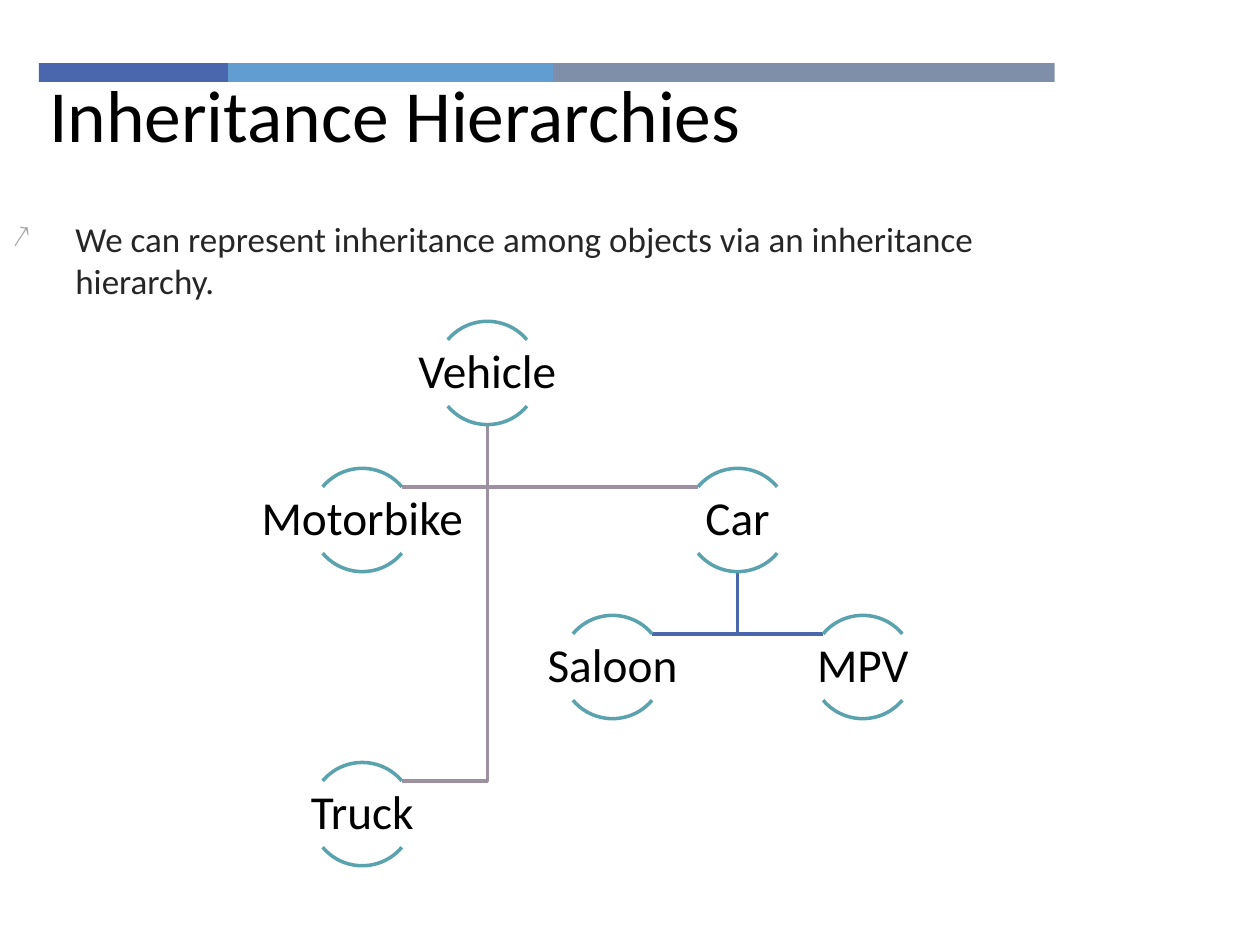
from math import cos, radians, sin

from lxml import etree
from pptx import Presentation
from pptx import util as u
from pptx.dml.color import RGBColor
from pptx.enum import shapes, text
from pptx.oxml.ns import qn

COLS, ROWS = 100, 75      # slide grid of square cells
CELL = u.Inches(0.1)


def size(n):
    return round(n * CELL)


def tint(code):
    return RGBColor.from_string(code)


def write(frame, words, pt=20, color="000000", align=None, lead=None,
          before=None, pad=None, mid=False):
    """Put one formatted paragraph in a text frame and return it."""
    frame.word_wrap = True
    if mid:
        frame.vertical_anchor = text.MSO_ANCHOR.MIDDLE
    if pad is not None:
        frame.margin_left = frame.margin_right = size(pad)
        frame.margin_top = frame.margin_bottom = size(pad)
    para = frame.paragraphs[0]
    para.alignment = align
    if lead:
        para.line_spacing = lead
    if before:
        para.space_before = u.Pt(before)
    run = para.add_run()
    run.text = words
    run.font.name = "Calibri"
    run.font.size = u.Pt(pt)
    run.font.color.rgb = tint(color)
    return para


class Deck:
    ring, bend = 4.1, 40      # node radius, angle where its arcs end
    line = 2
    left, top = 28.75, 29.6   # centre of the first tree cell
    step, drop = 9.93, 11.67  # distance between tree columns and rows

    def __init__(self):
        self.prs = Presentation()
        self.prs.slide_width = size(COLS)
        self.prs.slide_height = size(ROWS)
        self.slide = self.prs.slides.add_slide(self.prs.slide_layouts[6])
        self.items = self.slide.shapes

    def spot(self, col, row):
        return self.left + col * self.step, self.top + row * self.drop

    def label(self, x, y, w, h, words, **form):
        box = self.items.add_textbox(size(x), size(y), size(w), size(h))
        return write(box.text_frame, words, **form)

    def bullet(self, para, mark, color, share, indent):
        props = para._p.get_or_add_pPr()
        props.set("marL", str(size(indent)))
        props.set("indent", str(-size(indent)))
        hue = etree.SubElement(props, qn("a:buClr"))
        etree.SubElement(hue, qn("a:srgbClr"), val=color)
        etree.SubElement(props, qn("a:buSzPct"), val=str(share * 1000))
        etree.SubElement(props, qn("a:buChar"), char=mark)

    def bar(self, x, y, w, h, color):
        bar = self.items.add_shape(shapes.MSO_SHAPE.RECTANGLE,
                                   size(x), size(y), size(w), size(h))
        bar.shadow.inherit = False
        bar.fill.solid()
        bar.fill.fore_color.rgb = tint(color)
        bar.line.fill.background()

    def stroke(self, shape, color):
        shape.shadow.inherit = False
        shape.fill.background()
        shape.line.color.rgb = tint(color)
        shape.line.width = u.Pt(self.line)

    def elbow(self, start, end, color):
        """Run from a parent's foot to the near tip of a child's top arc."""
        x, y = self.spot(*start)
        cx, cy = self.spot(*end)
        side = 1 if cx < x else -1
        tip = cx + side * self.ring * cos(radians(self.bend))
        low = cy - self.ring * sin(radians(self.bend))
        pen = self.items.build_freeform(size(x), size(y + self.ring))
        pen.add_line_segments([(size(x), size(low)), (size(tip), size(low))],
                              close=False)
        self.stroke(pen.convert_to_shape(), color)

    def node(self, spot, name):
        x, y = self.spot(*spot)
        r = self.ring
        for turn in (180, 0):
            arc = self.items.add_shape(shapes.MSO_SHAPE.ARC, size(x - r),
                                       size(y - r), size(2 * r), size(2 * r))
            # arc angles are stored in 60000ths, adjustments in 100000ths
            arc.adjustments[0] = (turn + self.bend) * 0.6
            arc.adjustments[1] = (turn + 180 - self.bend) * 0.6
            self.stroke(arc, "5AA2AE")
        self.label(x - 2 * r, y - 2.63, 4 * r, 5.26, name, pt=27, lead=0.9,
                   align=text.PP_ALIGN.CENTER, pad=0.2, mid=True)


def main():
    deck = Deck()

    # Title and statement
    deck.label(1.6, 5, 84.3, 9.9, " Inheritance Hierarchies", pt=42)
    para = deck.label(0, 16.8, 84.3, 14.2,
                      "We can represent inheritance among objects "
                      "via an inheritance hierarchy.",
                      color="262626", before=20)
    deck.bullet(para, "↗", "A6A6A6", 90, 5)

    # Tree: name -> (column, row), then parent -> children
    spots = {"Vehicle": (1, 0), "Motorbike": (0, 1), "Car": (3, 1),
             "Saloon": (2, 2), "MPV": (4, 2), "Truck": (0, 3)}
    kin = [("Vehicle", "9D90A0", ("Truck", "Car", "Motorbike")),
           ("Car", "4A66AC", ("MPV", "Saloon"))]
    for head, color, kids in kin:
        for kid in kids:
            deck.elbow(spots[head], spots[kid], color)
    for name, spot in spots.items():
        deck.node(spot, name)

    # Colour band
    x = 3.1
    for wide, color in ((15, "4A66AC"), (25.8, "629DD1"), (39.8, "7F8FA9")):
        deck.bar(x, 5, wide, 1.5, color)
        x += wide

    deck.prs.save("out.pptx")


if __name__ == "__main__":
    main()
